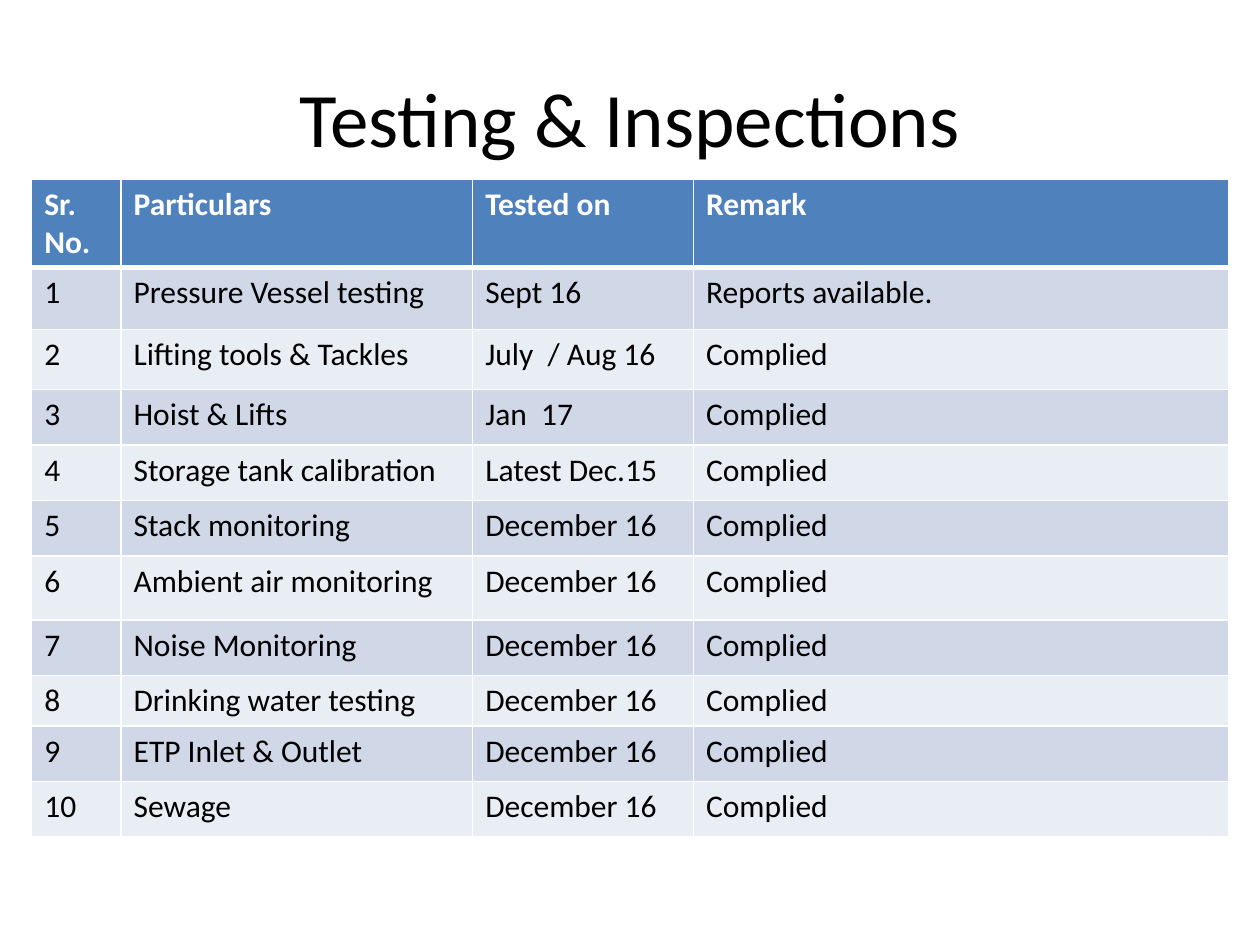
from lxml import etree
from pptx import Presentation
from pptx.dml.color import RGBColor
from pptx.enum.text import MSO_ANCHOR, PP_ALIGN
from pptx.oxml.ns import qn
from pptx.util import Cm, Pt

CENTER = PP_ALIGN.CENTER
MIDDLE = MSO_ANCHOR.MIDDLE

WHITE = RGBColor(0xFF, 0xFF, 0xFF)
BLACK = RGBColor(0x00, 0x00, 0x00)
HEADER_BLUE = RGBColor(0x4F, 0x81, 0xBD)
BAND_DARK = RGBColor(0xD0, 0xD8, 0xE8)
BAND_LIGHT = RGBColor(0xE9, 0xED, 0xF4)

TITLE_FORMAT = {"name": "Calibri", "size": Pt(44), "bold": False}
HEADER_FORMAT = {"name": "Calibri", "size": Pt(18), "bold": True}
BODY_FORMAT = {"name": "Calibri", "size": Pt(18), "bold": False}

HEADINGS = ["Sr. No.", "Particulars", "Tested on", "Remark"]
INSPECTIONS = [
    ("Pressure Vessel testing", "Sept 16", "Reports available."),
    ("Lifting tools & Tackles", "July  / Aug 16", "Complied"),
    ("Hoist & Lifts", "Jan  17", "Complied"),
    ("Storage tank calibration", "Latest Dec.15", "Complied"),
    ("Stack monitoring", "December 16", "Complied"),
    ("Ambient air monitoring", "December 16", "Complied"),
    ("Noise Monitoring", "December 16", "Complied"),
    ("Drinking water testing", "December 16", "Complied"),
    ("ETP Inlet & Outlet", "December 16", "Complied"),
    ("Sewage", "December 16", "Complied"),
]
COLUMN_WIDTHS = [1.8, 7.09, 4.45, 10.8]
ROW_HEIGHTS = [1.27, 1.25, 1.21, 1.12, 1.12, 1.12, 1.29, 1.12, 1.0, 1.12, 1.12]


def write_text(paragraph, text, font_format, color):
    paragraph.text = text
    for name, value in font_format.items():
        setattr(paragraph.font, name, value)
    paragraph.font.color.rgb = color


def set_borders(cell, bottom_width):
    properties = cell._tc.get_or_add_tcPr()
    widths = {"a:lnL": 1, "a:lnR": 1, "a:lnT": 1, "a:lnB": bottom_width}
    for position, (tag, width) in enumerate(widths.items()):
        line = etree.Element(qn(tag), w=str(Pt(width)))
        fill = etree.SubElement(line, qn("a:solidFill"))
        etree.SubElement(fill, qn("a:srgbClr"), val=str(WHITE))
        properties.insert(position, line)


presentation = Presentation()
presentation.slide_width = Cm(25.4)
presentation.slide_height = Cm(19.05)
slide = presentation.slides.add_slide(presentation.slide_layouts[6])

# Title
title = slide.shapes.add_textbox(Cm(1.27), Cm(0.76), Cm(22.86), Cm(3.18))
title.text_frame.word_wrap = True
title.text_frame.vertical_anchor = MIDDLE
title_paragraph = title.text_frame.paragraphs[0]
title_paragraph.alignment = CENTER
write_text(title_paragraph, "Testing & Inspections", TITLE_FORMAT, BLACK)

# Inspection table, with the serial number as first column
rows = [HEADINGS]
for number, inspection in enumerate(INSPECTIONS, start=1):
    rows.append([str(number), *inspection])

table = slide.shapes.add_table(
    len(rows), len(HEADINGS), Cm(0.64), Cm(3.61), Cm(24.14), Cm(13.26)
).table
for column, width in zip(table.columns, COLUMN_WIDTHS):
    column.width = Cm(width)
for row, height in zip(table.rows, ROW_HEIGHTS):
    row.height = Cm(height)

# Header row, then alternating bands
for row_index, texts in enumerate(rows):
    if row_index == 0:
        fill_color, font_format, text_color, bottom_width = HEADER_BLUE, HEADER_FORMAT, WHITE, 3
    else:
        fill_color = BAND_DARK if row_index % 2 else BAND_LIGHT
        font_format, text_color, bottom_width = BODY_FORMAT, BLACK, 1
    for column_index, text in enumerate(texts):
        cell = table.cell(row_index, column_index)
        cell.fill.solid()
        cell.fill.fore_color.rgb = fill_color
        set_borders(cell, bottom_width)
        write_text(cell.text_frame.paragraphs[0], text, font_format, text_color)

presentation.save("out.pptx")
